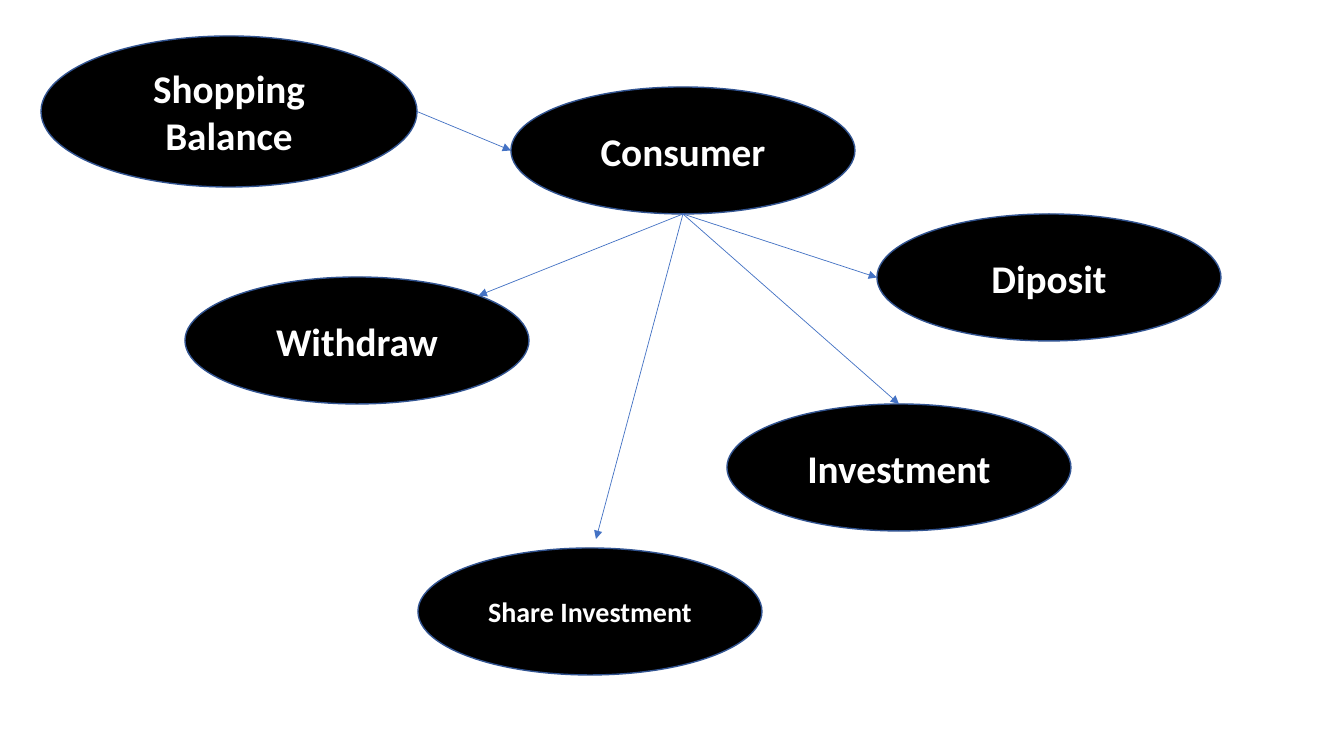
from math import sqrt

from lxml.etree import SubElement
from pptx import Presentation
from pptx.dml.color import RGBColor
from pptx.enum.shapes import MSO_CONNECTOR as Connector, MSO_SHAPE as Shape
from pptx.enum.text import MSO_ANCHOR as Anchor, PP_ALIGN as Align
from pptx.oxml.ns import qn
from pptx.util import Emu, Inches, Pt

PIXELS_PER_INCH = 100.8
SLIDE_SIZE = (1344, 756)
NODE_SIZE = (344, 127)
BLACK, WHITE, OUTLINE, ARROW = "000000", "FFFFFF", "325491", "4472C4"
LABEL_FONT = {"name": "Calibri", "bold": True}

# label: (left, top, size, font size)
NODES = {
    "Consumer": (511, 87, NODE_SIZE, 28),
    "Share Investment": (418, 548, NODE_SIZE, 20),
    "Diposit": (877, 214, NODE_SIZE, 28),
    "Withdraw": (185, 277, NODE_SIZE, 28),
    "Investment": (727, 404, NODE_SIZE, 28),
    "Shopping Balance": (41, 36, (376, 151), 28),
}

# Each end is a (label, side) pair, or a free (x, y) point.
ARROWS = [
    (("Consumer", "bottom"), (596, 539)),
    (("Consumer", "bottom"), ("Withdraw", "top right")),
    (("Consumer", "bottom"), ("Diposit", "left")),
    (("Consumer", "bottom"), ("Investment", "top")),
    (("Shopping Balance", "right"), ("Consumer", "left")),
]

# side: (connection site of an ellipse, x and y in half-axes from its centre)
DIAGONAL = sqrt(0.5)
SIDES = {
    "top": (0, 0, -1),
    "left": (2, -1, 0),
    "bottom": (4, 0, 1),
    "right": (6, 1, 0),
    "top right": (7, DIAGONAL, -DIAGONAL),
}


def px(pixels):
    """Turn pixels into EMU."""
    return Emu(round(pixels * Inches(1) / PIXELS_PER_INCH))


def color(hex_string):
    """Turn a hex string into a colour."""
    return RGBColor.from_string(hex_string)


def set_line(line, hex_string, width):
    """Give a line its colour and its width in points."""
    line.color.rgb = color(hex_string)
    line.width = Pt(width)


def add_node(slide, label, left, top, size, font_size):
    """Draw one labelled ellipse and return it."""
    shape = slide.shapes.add_shape(Shape.OVAL, *map(px, (left, top, *size)))
    shape.shadow.inherit = False
    shape.fill.solid()
    shape.fill.fore_color.rgb = color(BLACK)
    set_line(shape.line, OUTLINE, 1)
    frame = shape.text_frame
    frame.text = label
    frame.word_wrap = True
    frame.vertical_anchor = Anchor.MIDDLE
    paragraph = frame.paragraphs[0]
    paragraph.alignment = Align.CENTER
    font = paragraph.runs[0].font
    for name, value in {**LABEL_FONT, "size": Pt(font_size)}.items():
        setattr(font, name, value)
    font.color.rgb = color(WHITE)
    return shape


def locate(end, nodes):
    """Return the x and y of an arrow end in EMU."""
    if end[0] not in nodes:
        return px(end[0]), px(end[1])
    node = nodes[end[0]]
    _, across, down = SIDES[end[1]]
    return (Emu(round(node.left + node.width * (1 + across) / 2)),
            Emu(round(node.top + node.height * (1 + down) / 2)))


def add_arrow(slide, nodes, start, finish):
    """Draw an arrow and glue its ends to the nodes they touch."""
    connector = slide.shapes.add_connector(
        Connector.STRAIGHT, *locate(start, nodes), *locate(finish, nodes))
    set_line(connector.line, ARROW, 0.5)
    element = connector._element
    SubElement(connector.line._get_or_add_ln(), qn("a:tailEnd"), type="triangle")
    SubElement(element.spPr, qn("a:effectLst"))
    for tag, end in (("a:stCxn", start), ("a:endCxn", finish)):
        if end[0] in nodes:
            SubElement(element.nvCxnSpPr.cNvCxnSpPr, qn(tag),
                       id=str(nodes[end[0]].shape_id), idx=str(SIDES[end[1]][0]))


presentation = Presentation()
presentation.slide_width, presentation.slide_height = map(px, SLIDE_SIZE)
slide = presentation.slides.add_slide(presentation.slide_layouts[6])
nodes = {label: add_node(slide, label, *place) for label, place in NODES.items()}
for start, finish in ARROWS:
    add_arrow(slide, nodes, start, finish)
presentation.save("out.pptx")
